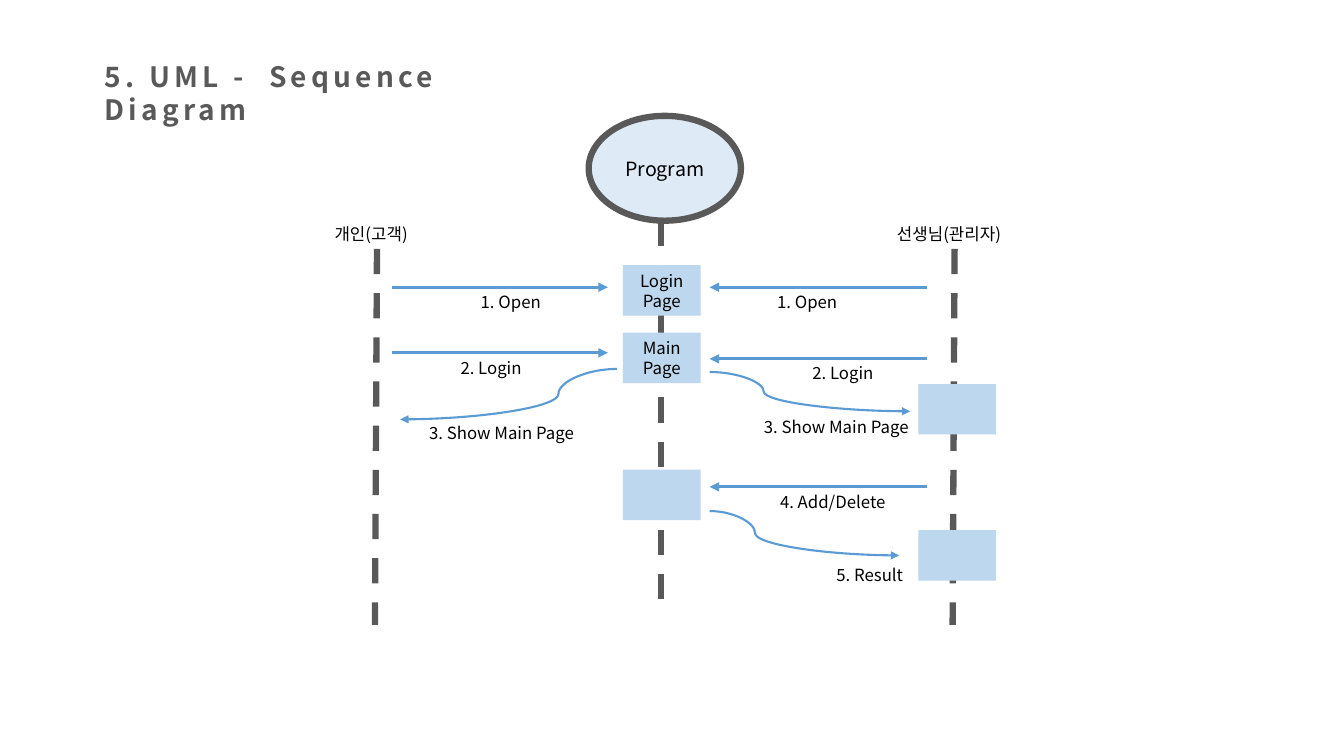
from dataclasses import dataclass

from lxml import etree
from pptx import Presentation
from pptx import util as u
from pptx.dml.color import RGBColor
from pptx.enum import dml, shapes, text
from pptx.oxml.ns import qn


@dataclass(frozen=True)
class Theme:
    font: str = "Noto Sans CJK KR"
    dark: str = "595959"
    ink: str = "000000"
    blue: str = "5B9BD5"
    box: str = "BDD7EE"
    pale: str = "DEEBF7"
    title: int = 20
    head: int = 14
    body: int = 12
    thick: float = 4.5
    arrow: float = 2.25
    curve: float = 1.5


# All places and sizes are percent of the slide's width (x) and height (y)
@dataclass(frozen=True)
class Label:
    words: str
    left: float
    top: float
    width: float
    height: float = 4


@dataclass(frozen=True)
class Node:
    words: str
    left: float
    top: float


@dataclass(frozen=True)
class Link:
    x1: float
    y1: float
    x2: float
    y2: float
    bend: float = 0  # share of the width where a curve turns


THEME = Theme()
WIDE, HIGH = u.Inches(13.333), u.Inches(7.5)
BOX_W, BOX_H = 5.78, 6.67
MID, SIDE = 46.35, 68.33            # left edges of the box columns
USER, ADMIN = (29.18, 45.23), (69, 52.8)  # arrow spans, from and to

TITLE = Label("5. UML -  Sequence Diagram", 7.05, 7.2, 34.05, 5.87)
ACTOR = Label("Program", 43.8, 15.33, 11.33, 13.87)

LIVES = [
    Link(28.05, 32.93, 27.9, 82.67),
    Link(49.2, 29.2, 49.2, 80),
    Link(71.03, 32.93, 70.88, 82.67),
]
NODES = [
    Node("Login Page", MID, 35.07),
    Node("Main Page", MID, 44),
    Node("", MID, 62.13),
    Node("", SIDE, 50.8),
    Node("", SIDE, 70.13),
]
CALLS = [Link(span[0], y, span[1], y) for span, y in [
    (USER, 38), (USER, 46.67), (ADMIN, 38), (ADMIN, 47.47), (ADMIN, 64.4)]]
CURVES = [
    Link(45.9, 48.8, 29.78, 55.47, 0.27),
    Link(52.8, 49.2, 67.73, 54.4, 0.27),
    Link(52.8, 67.6, 66.9, 73.47, 0.24),
]
LABELS = [
    Label("개인(고객)", 24.15, 28.93, 7.35),
    Label("선생님(관리자)", 66, 28.93, 10.35),
    Label("1. Open", 35.03, 38, 7.05),
    Label("1. Open", 57.08, 38, 7.58),
    Label("2. Login", 33.53, 46.67, 7.05),
    Label("2. Login", 59.7, 47.33, 6.9),
    Label("3. Show Main Page", 31.2, 55.33, 13.2),
    Label("3. Show Main Page", 56.1, 54.53, 12.83),
    Label("4. Add/Delete", 57.3, 64.4, 9.83),
    Label("5. Result", 61.5, 74, 7.2),
]


def col(share: float) -> int:
    return round(WIDE * share / 100)


def row(share: float) -> int:
    return round(HIGH * share / 100)


def rgb(code: str) -> RGBColor:
    return RGBColor.from_string(code)


def write(frame, words: str, size: int, color: str = THEME.ink,
          bold: bool = False, gap: int = 0) -> None:
    frame.word_wrap = True
    run = frame.paragraphs[0].add_run()
    run.text = words
    font = run.font
    font.size, font.bold, font.name = u.Pt(size), bold, THEME.font
    font.color.rgb = rgb(color)
    props = run._r.get_or_add_rPr()
    etree.SubElement(props, qn("a:ea"), typeface=THEME.font)
    if gap:
        props.set("spc", str(gap * 100))


def draw_label(slide, item: Label, size: int = THEME.body, **style) -> None:
    box = slide.shapes.add_textbox(
        col(item.left), row(item.top), col(item.width), row(item.height))
    box.text_frame.auto_size = text.MSO_AUTO_SIZE.SHAPE_TO_FIT_TEXT
    write(box.text_frame, item.words, size, **style)


def draw_shape(slide, kind, item: Label, fill: str, size: int):
    shape = slide.shapes.add_shape(
        kind, col(item.left), row(item.top), col(item.width), row(item.height))
    shape.shadow.inherit = False
    shape.fill.solid()
    shape.fill.fore_color.rgb = rgb(fill)
    shape.line.fill.background()
    if item.words:
        frame = shape.text_frame
        frame.vertical_anchor = text.MSO_ANCHOR.MIDDLE
        frame.paragraphs[0].alignment = text.PP_ALIGN.CENTER
        write(frame, item.words, size)
    return shape


def draw_link(slide, item: Link, color: str, width: float,
              dash: bool = False) -> None:
    kind = shapes.MSO_CONNECTOR.CURVE if item.bend else shapes.MSO_CONNECTOR.STRAIGHT
    link = slide.shapes.add_connector(
        kind, col(item.x1), row(item.y1), col(item.x2), row(item.y2))
    link.line.color.rgb = rgb(color)
    link.line.width = u.Pt(width)
    props = link._element.spPr
    if dash:
        link.line.dash_style = dml.MSO_LINE.DASH
    else:
        etree.SubElement(props.find(qn("a:ln")), qn("a:tailEnd"), type="triangle")
    if item.bend:
        guides = props.find(qn("a:prstGeom")).find(qn("a:avLst"))
        etree.SubElement(guides, qn("a:gd"), name="adj1",
                         fmla=f"val {round(item.bend * 100000)}")
    etree.SubElement(props, qn("a:effectLst"))


def main() -> None:
    deck = Presentation()
    deck.slide_width, deck.slide_height = WIDE, HIGH
    slide = deck.slides.add_slide(deck.slide_layouts[6])

    # Title and program actor
    draw_label(slide, TITLE, THEME.title, color=THEME.dark, bold=True, gap=3)
    actor = draw_shape(slide, shapes.MSO_SHAPE.OVAL, ACTOR, THEME.pale, THEME.head)
    actor.line.color.rgb = rgb(THEME.dark)
    actor.line.width = u.Pt(THEME.thick)

    # Lifelines, with the boxes on top of them
    for life in LIVES:
        draw_link(slide, life, THEME.dark, THEME.thick, dash=True)
    for node in NODES:
        place = Label(node.words, node.left, node.top, BOX_W, BOX_H)
        draw_shape(slide, shapes.MSO_SHAPE.RECTANGLE, place, THEME.box, THEME.body)

    # Messages and their labels
    for call in CALLS:
        draw_link(slide, call, THEME.blue, THEME.arrow)
    for curve in CURVES:
        draw_link(slide, curve, THEME.blue, THEME.curve)
    for label in LABELS:
        draw_label(slide, label)

    deck.save("out.pptx")


if __name__ == "__main__":
    main()
